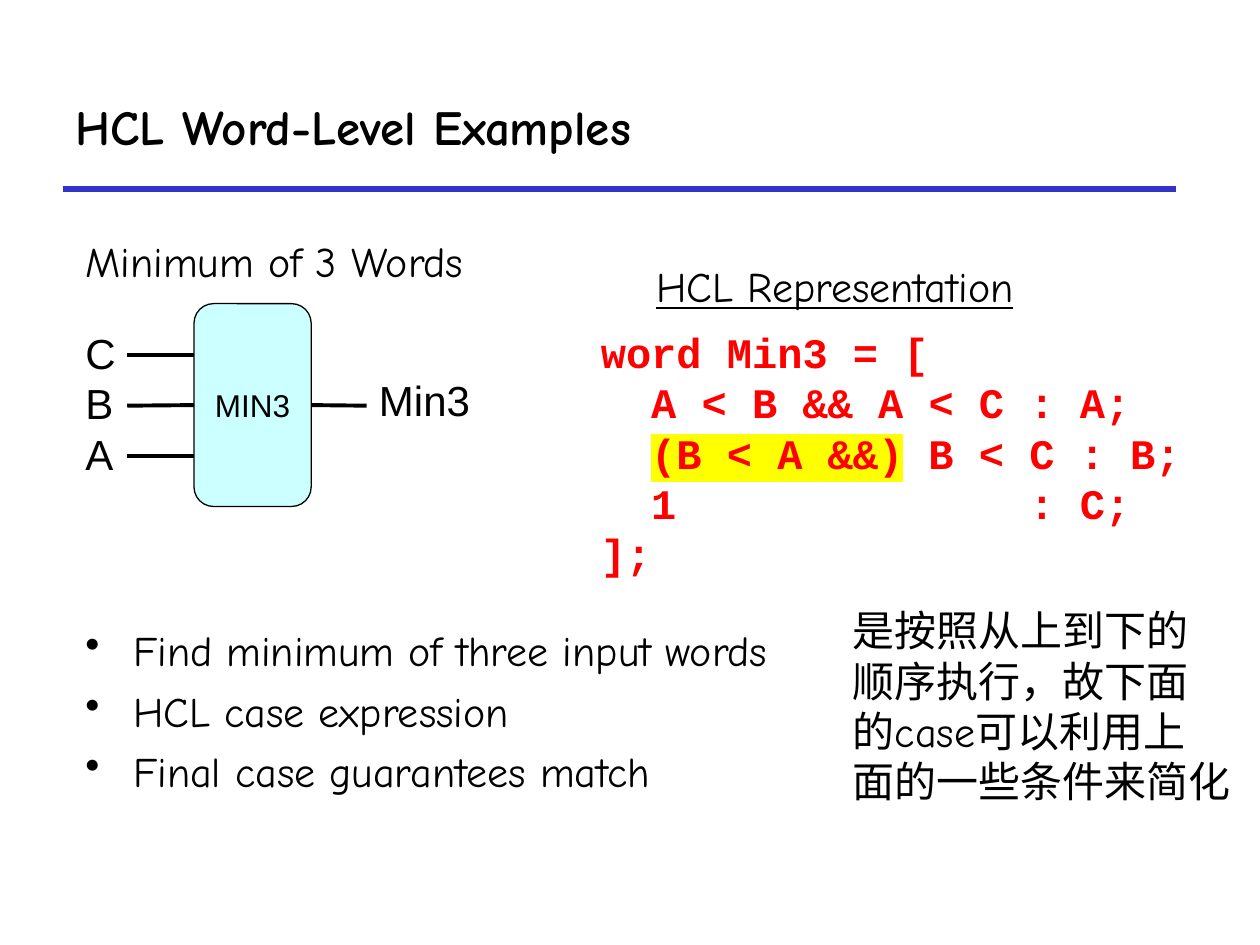
from dataclasses import dataclass

from lxml import etree
from pptx import Presentation
from pptx.dml.color import RGBColor
from pptx.enum.shapes import MSO_CONNECTOR, MSO_SHAPE
from pptx.enum.text import MSO_ANCHOR, MSO_AUTO_SIZE, PP_ALIGN
from pptx.oxml.ns import qn
from pptx.util import Inches, Pt

STRAIGHT = MSO_CONNECTOR.STRAIGHT
ROUNDED = MSO_SHAPE.ROUNDED_RECTANGLE
MIDDLE = MSO_ANCHOR.MIDDLE
FIT_SHAPE = MSO_AUTO_SIZE.SHAPE_TO_FIT_TEXT
LEFT, CENTER = PP_ALIGN.LEFT, PP_ALIGN.CENTER
LEFT_SIDE, RIGHT_SIDE = 1, 3


@dataclass(frozen=True)
class Theme:
    ink: str = "000000"
    rule: str = "3333CC"
    block: str = "CCFFFF"
    code: str = "FF0000"
    marker: str = "FFFF00"
    hand: str = "Comic Neue"
    sans: str = "Arial"
    mono: str = "Courier New"
    title_size: int = 28
    body_size: int = 24
    block_size: int = 18


class SlideBuilder:
    def __init__(self, slide, theme):
        self.s = slide
        self.theme = theme

    def run(self, p, text, font=None, size=None, color=None, bold=False,
            underline=False, highlight=None):
        r = p.add_run()
        r.text = text
        r.font.name = font or self.theme.hand
        r.font.size = Pt(size or self.theme.body_size)
        r.font.bold = bold
        r.font.underline = underline
        r.font.color.rgb = RGBColor.from_string(color or self.theme.ink)
        if highlight:
            mark = etree.Element(qn("a:highlight"))
            etree.SubElement(mark, qn("a:srgbClr")).set("val", highlight)
            r.font._element.find(qn("a:solidFill")).addnext(mark)

    def title(self, text, x, y, w, h):
        sp = self.s.shapes.title
        sp.left, sp.top, sp.width, sp.height = map(Inches, (x, y, w, h))
        tf = sp.text_frame
        tf.vertical_anchor = MIDDLE
        tf.paragraphs[0].alignment = LEFT
        self.run(tf.paragraphs[0], text, size=self.theme.title_size, bold=True)

    def text(self, lines, x, y, w, h, inset=0.1, wrap=False, bullets=False, **style):
        """Each line is a list of (text, highlight colour or None) pairs, or a plain string."""
        tf = self.s.shapes.add_textbox(*map(Inches, (x, y, w, h))).text_frame
        tf.word_wrap = wrap
        if not bullets:
            tf.auto_size = FIT_SHAPE
        tf.margin_left = tf.margin_right = Inches(inset)
        for i, line in enumerate(lines):
            p = tf.add_paragraph() if i else tf.paragraphs[0]
            if bullets:
                self.bullet(p)
                if i:
                    p.space_before = Pt(5.75)
            parts = [(line, None)] if isinstance(line, str) else line
            for text, highlight in parts:
                self.run(p, text, highlight=highlight, **style)

    def bullet(self, p):
        pPr = p._p.get_or_add_pPr()
        pPr.set("marL", str(Inches(0.38)))
        pPr.set("indent", str(-Inches(0.38)))
        etree.SubElement(pPr, qn("a:buChar")).set("char", "•")

    def block(self, text, x, y, w, h):
        sp = self.s.shapes.add_shape(ROUNDED, *map(Inches, (x, y, w, h)))
        sp.shadow.inherit = False
        sp.fill.solid()
        sp.fill.fore_color.rgb = RGBColor.from_string(self.theme.block)
        sp.line.color.rgb = RGBColor.from_string(self.theme.ink)
        sp.line.width = Pt(0.75)
        tf = sp.text_frame
        tf.word_wrap = False
        tf.vertical_anchor = MIDDLE
        tf.paragraphs[0].alignment = CENTER
        self.run(tf.paragraphs[0], text, self.theme.sans, self.theme.block_size)
        return sp

    def line(self, x1, x2, y, color=None, width=2.25):
        c = self.s.shapes.add_connector(STRAIGHT, *map(Inches, (x1, y, x2, y)))
        c.line.color.rgb = RGBColor.from_string(color or self.theme.ink)
        c.line.width = Pt(width)
        etree.SubElement(c._element.spPr, qn("a:effectLst"))
        return c


def main():
    prs = Presentation()
    prs.slide_width, prs.slide_height = Inches(10), Inches(7.5)
    theme = Theme()
    b = SlideBuilder(prs.slides.add_slide(prs.slide_layouts[5]), theme)

    b.line(0.5, 9.33, 1.5, theme.rule, 3)
    b.title("HCL Word-Level Examples", 0.5, 0.5, 8.83, 1)

    b.text(["Find minimum of three input words", "HCL case expression",
            "Final case guarantees match"],
           0.58, 4.91, 8.58, 1.84, wrap=True, bullets=True)

    min3 = b.block("MIN3", 1.54, 2.41, 0.93, 1.61)
    for i, name in enumerate("CBA"):
        y = 2.82 + 0.4 * i
        wire = b.line(1.01, 1.54, y)
        if name == "B":
            wire.end_connect(min3, LEFT_SIDE)
        b.text([name], 0.58, y - 0.27, 0.44, 0.51, font=theme.sans)
    b.line(2.47, 2.91, 3.22).begin_connect(min3, RIGHT_SIDE)
    b.text(["Min3"], 2.91, 2.92, 0.94, 0.51, font=theme.sans)

    b.text(["word Min3 = [",
            "  A < B && A < C : A;",
            [("  ", None), ("(B < A &&)", theme.marker), (" B < C : B;", None)],
            "  1              : C;",
            "];"],
           4.67, 2.54, 4.92, 2.12, wrap=True,
           font=theme.mono, color=theme.code, bold=True)

    b.text(["Minimum of 3 Words"], 0.63, 1.82, 3.37, 0.51, inset=0.05)
    b.text(["HCL Representation"], 5.16, 2.02, 3.34, 0.51, inset=0.05, underline=True)
    b.text(["是按照从上到下的", "顺序执行，故下面", "的case可以利用上", "面的一些条件来简化"],
           6.67, 4.75, 3.2, 1.72)

    prs.save("out.pptx")


if __name__ == "__main__":
    main()
